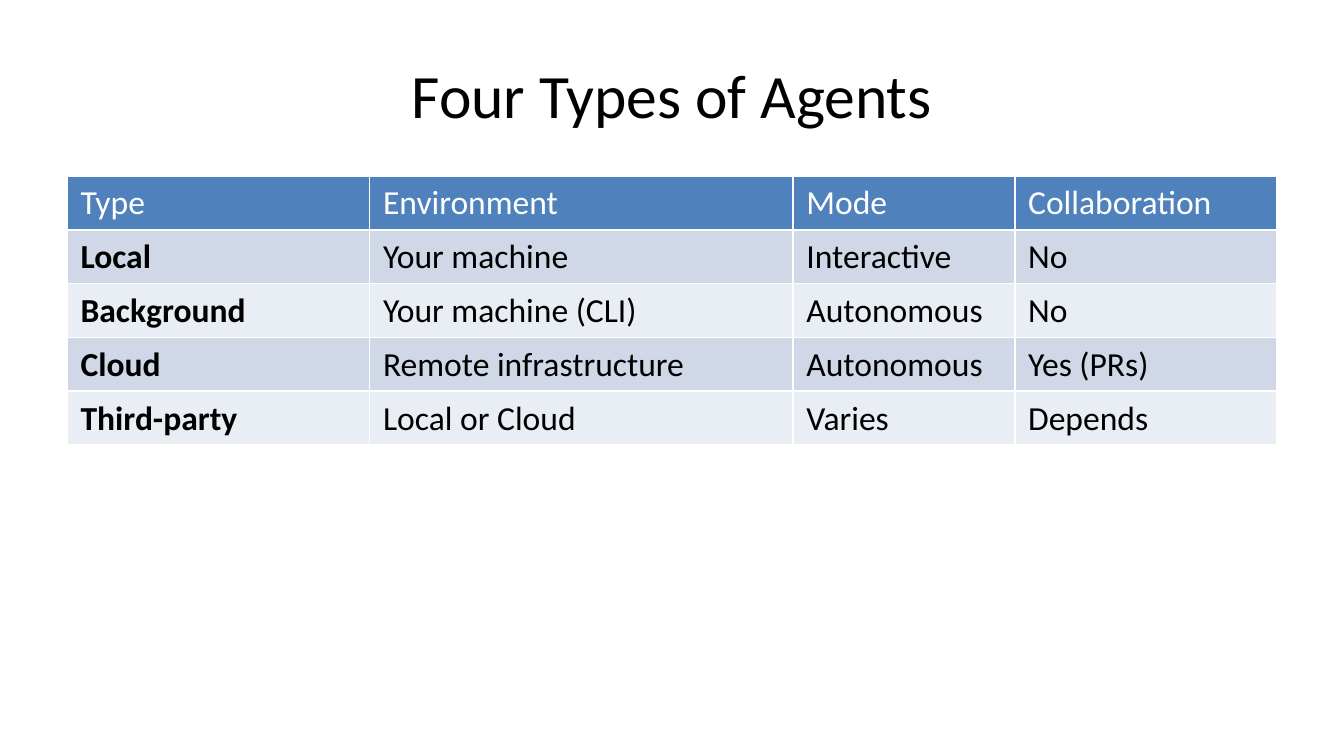
from pptx import Presentation
from pptx.dml.color import RGBColor
from pptx.enum.text import MSO_ANCHOR, PP_ALIGN
from pptx.util import Inches, Pt

CENTER = PP_ALIGN.CENTER
MIDDLE = MSO_ANCHOR.MIDDLE

# Content
TITLE = "Four Types of Agents"
ROWS = [
    ("Type", "Environment", "Mode", "Collaboration"),
    ("Local", "Your machine", "Interactive", "No"),
    ("Background", "Your machine (CLI)", "Autonomous", "No"),
    ("Cloud", "Remote infrastructure", "Autonomous", "Yes (PRs)"),
    ("Third-party", "Local or Cloud", "Varies", "Depends"),
]

# Layout and style
COLUMN_WIDTHS = (2.25, 3.15, 1.65, 1.95)
ROW_HEIGHT = 0.4  # rows grow slightly to fit their text
LEFT, TABLE_TOP = 0.5, 1.31
FONT = "Calibri"
HEADER_FILL = "4F81BD"
BAND_FILLS = ("D0D8E8", "E9EDF4")
BLACK, WHITE = "000000", "FFFFFF"


def color(value):
    return RGBColor.from_string(value)


def write(frame, text, size, ink, bold=False):
    frame.text = text
    font = frame.paragraphs[0].runs[0].font
    font.name, font.size, font.bold = FONT, Pt(size), bold
    font.color.rgb = color(ink)


# Widescreen page, 16:9
deck = Presentation()
deck.slide_width = Inches(10)
deck.slide_height = Inches(10) * 9 // 16
page = deck.slides.add_slide(deck.slide_layouts[6])

# Title
box = page.shapes.add_textbox(Inches(LEFT), Inches(0.23), Inches(9), Inches(0.94))
frame = box.text_frame
frame.word_wrap = True
frame.vertical_anchor = MIDDLE
write(frame, TITLE, 33, BLACK)
frame.paragraphs[0].alignment = CENTER

# Table: the default style supplies the white rules
table = page.shapes.add_table(
    len(ROWS), len(COLUMN_WIDTHS), Inches(LEFT), Inches(TABLE_TOP),
    Inches(sum(COLUMN_WIDTHS)), Inches(ROW_HEIGHT * len(ROWS)),
).table
for column, width in zip(table.columns, COLUMN_WIDTHS):
    column.width = Inches(width)

for r, row in enumerate(ROWS):
    is_header = r == 0
    fill = HEADER_FILL if is_header else BAND_FILLS[(r - 1) % 2]
    table.rows[r].height = Inches(ROW_HEIGHT)
    for c, text in enumerate(row):
        cell = table.cell(r, c)
        cell.fill.solid()
        cell.fill.fore_color.rgb = color(fill)
        write(cell.text_frame, text, 18, WHITE if is_header else BLACK,
              bold=c == 0 and not is_header)

deck.save("out.pptx")
